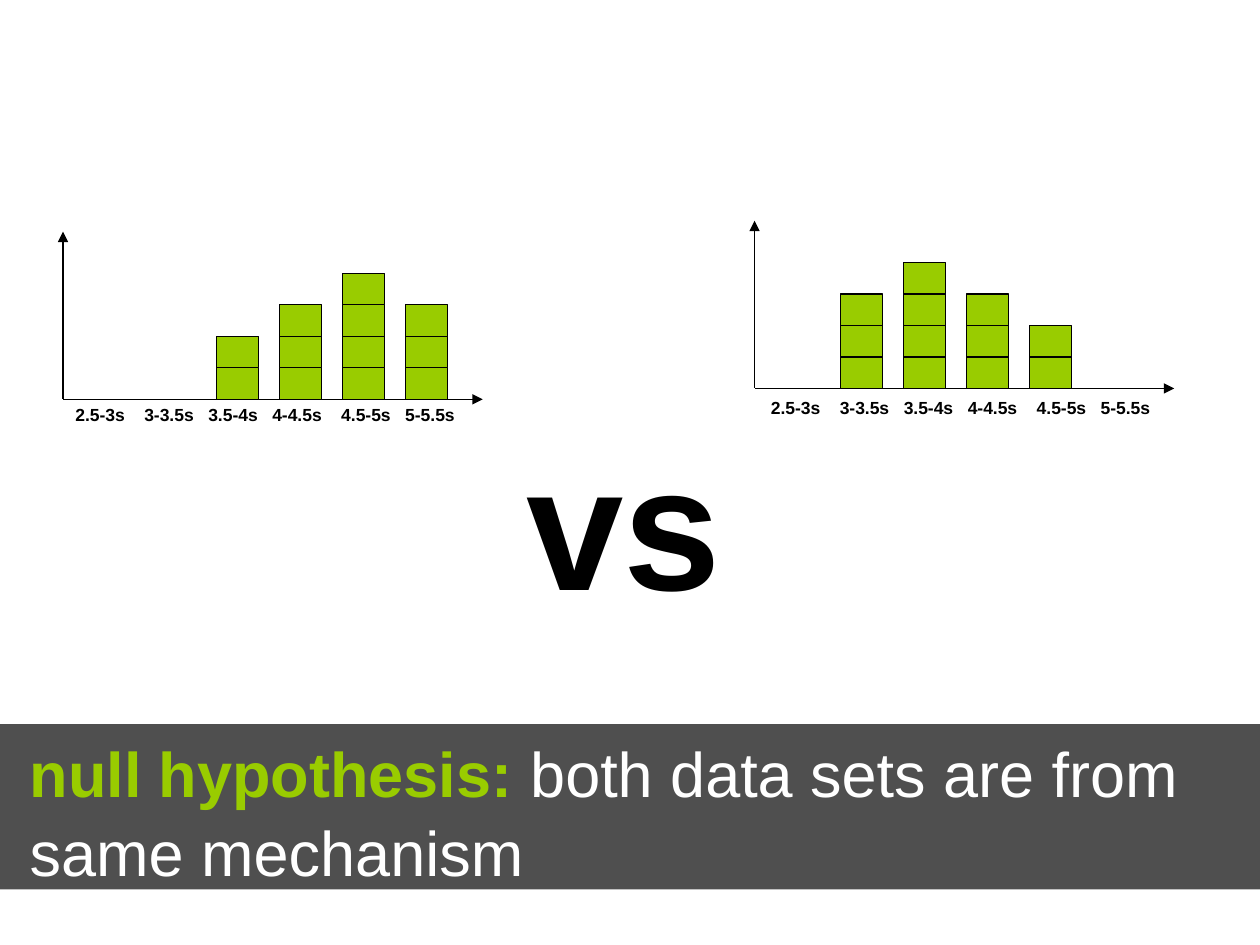
from lxml.etree import SubElement
from pptx import Presentation
from pptx.dml.color import RGBColor
from pptx.enum.shapes import MSO_CONNECTOR as CONN, MSO_SHAPE as SHAPE
from pptx.enum.text import MSO_ANCHOR as ANCHOR, PP_ALIGN as ALIGN
from pptx.oxml.ns import qn
from pptx.util import Cm, Pt

BLACK = RGBColor(0x00, 0x00, 0x00)
GREEN = RGBColor(0x99, 0xCC, 0x00)
WHITE = RGBColor(0xFF, 0xFF, 0xFF)
FONT = "Arial"

BINS = ["2.5-3s", "3-3.5s", "3.5-4s", "4-4.5s", "4.5-5s", "5-5.5s"]
TAB_STOPS = [1.39, 2.68, 3.97, 5.36, 6.65]
HISTOGRAMS = [
    {"origin": (1.27, 8.05), "first_bar": 1.83, "labels": (1.27, 8.0),
     "counts": [0, 0, 2, 3, 4, 3]},
    {"origin": (15.21, 7.83), "first_bar": 15.67, "labels": (15.29, 7.85),
     "counts": [0, 3, 4, 3, 2, 0]},
]
HYPOTHESIS = [
    ("null hypothesis: ", GREEN, True),
    ("both data sets are from same mechanism", WHITE, False),
]

AXIS_W, AXIS_H = 8.46, 3.38
BAR_STEP, UNIT_W, UNIT_H = 1.27, 0.85, 0.635


def add_arrow(s, tip, origin):
    line = s.shapes.add_connector(CONN.STRAIGHT, *map(Cm, tip + origin))
    line.line.color.rgb = BLACK
    line.line.width = Pt(0.75)
    SubElement(line.line._get_or_add_ln(), qn("a:headEnd"), type="triangle")
    SubElement(line._element.spPr, qn("a:effectLst"))


def add_rect(s, x, y, w, h, color):
    sp = s.shapes.add_shape(SHAPE.RECTANGLE, Cm(x), Cm(y), Cm(w), Cm(h))
    sp.shadow.inherit = False
    sp.fill.solid()
    sp.fill.fore_color.rgb = color
    return sp


def write(sp, runs, size):
    tf = sp.text_frame
    tf.word_wrap = True
    tf.vertical_anchor = ANCHOR.TOP
    p = tf.paragraphs[0]
    p.alignment = ALIGN.LEFT
    p.line_spacing = 1.05
    for text, color, bold in runs:
        r = p.add_run()
        r.text = text
        r.font.name = FONT
        r.font.size = Pt(size)
        r.font.bold = bold
        r.font.color.rgb = color
    return p


def add_histogram(s, origin, first_bar, labels, counts):
    x0, y0 = origin
    add_arrow(s, (x0, y0 - AXIS_H), origin)
    add_arrow(s, (x0 + AXIS_W, y0), origin)
    for i, count in enumerate(counts):
        for level in range(1, count + 1):
            unit = add_rect(s, first_bar + i * BAR_STEP, y0 - level * UNIT_H,
                            UNIT_W, UNIT_H, GREEN)
            unit.line.color.rgb = BLACK
            unit.line.width = Pt(0.75)
    box = s.shapes.add_textbox(*map(Cm, labels), Cm(8.38), Cm(0.69))
    p = write(box, [("\t".join(BINS), BLACK, True)], 10)
    tabs = SubElement(p._p.get_or_add_pPr(), qn("a:tabLst"))
    for stop in TAB_STOPS:
        SubElement(tabs, qn("a:tab"), pos=str(Cm(stop)), algn="l")


def main():
    prs = Presentation()
    prs.slide_width, prs.slide_height = Cm(25.4), Cm(19.05)
    s = prs.slides.add_slide(prs.slide_layouts[6])
    for histogram in HISTOGRAMS:
        add_histogram(s, **histogram)

    versus = s.shapes.add_textbox(Cm(10.36), Cm(8.05), Cm(4.47), Cm(4.52))
    write(versus, [("vs", BLACK, True)], 100)

    band = add_rect(s, 0, 14.6, 25.4, 3.33, BLACK)
    band.line.fill.background()
    color = band.fill._xPr.find(qn("a:solidFill"))[0]
    SubElement(color, qn("a:alpha"), val="69000")
    write(band, HYPOTHESIS, 36)
    band.text_frame.margin_left = Cm(0.6)
    prs.save("out.pptx")


if __name__ == "__main__":
    main()
